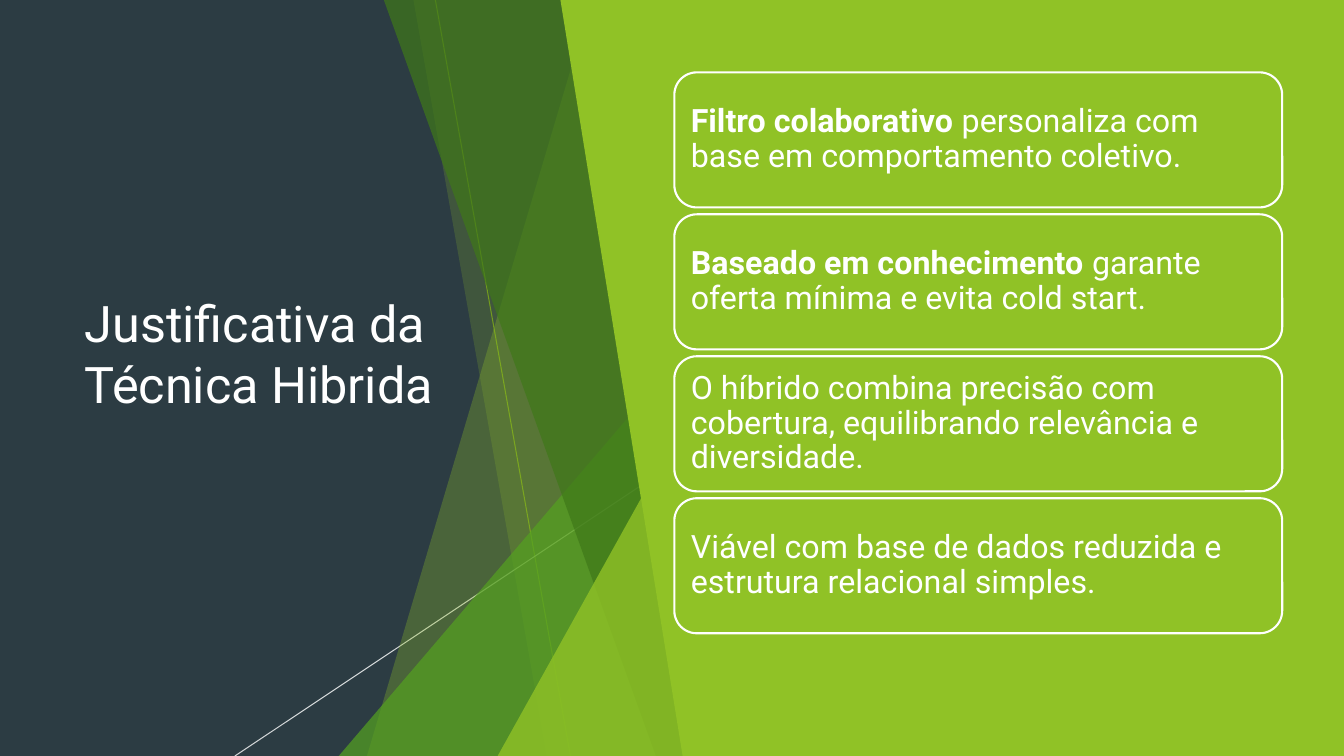
from lxml import etree
from pptx import Presentation
from pptx.dml.color import RGBColor
from pptx.enum.shapes import MSO_CONNECTOR, MSO_SHAPE
from pptx.enum.text import MSO_ANCHOR, PP_ALIGN
from pptx.oxml.ns import qn
from pptx.util import Pt

STRAIGHT = MSO_CONNECTOR.STRAIGHT
TRIANGLE = MSO_SHAPE.ISOSCELES_TRIANGLE
ROUNDED = MSO_SHAPE.ROUNDED_RECTANGLE
MIDDLE = MSO_ANCHOR.MIDDLE
LEFT = PP_ALIGN.LEFT

FONT = "Roboto"
WHITE = "FFFFFF"
LIME = "90C226"
TOP, BOTTOM, FACET_RIGHT = -0.72, 540, 498.6

FACETS_BEHIND = [
    ([(422.6, TOP), (FACET_RIGHT, TOP), (FACET_RIGHT, BOTTOM), (262.1, BOTTOM)], LIME, 30),
    ([(295.2, TOP), (FACET_RIGHT, TOP), (FACET_RIGHT, BOTTOM), (390.6, BOTTOM)], LIME, 20),
]
DARK_FACET = [(273.9, TOP), (FACET_RIGHT, TOP), (FACET_RIGHT, BOTTOM), (468.5, BOTTOM)]
PANEL = [(400.2, TOP), (FACET_RIGHT, TOP), (FACET_RIGHT, 0), (960, 0), (960, BOTTOM), (487.6, BOTTOM)]

REASONS = [
    ("Filtro colaborativo ", "personaliza com base em comportamento coletivo."),
    ("Baseado em conhecimento ", "garante oferta mínima e evita cold start."),
    ("", "O híbrido combina precisão com cobertura, equilibrando relevância e diversidade."),
    ("", "Viável com base de dados reduzida e estrutura relacional simples."),
]


def paint(color_format, color, opacity=100):
    """Set a solid colour, given as hex, with its opacity in percent."""
    color_format.rgb = RGBColor.from_string(color)
    if opacity < 100:
        for element in color_format._xFill.iter(qn("a:srgbClr")):
            etree.SubElement(element, qn("a:alpha")).set("val", str(opacity * 1000))


def fill_shape(shape, color, opacity=100):
    """Give a shape a plain fill without shadow or outline."""
    shape.shadow.inherit = False
    shape.fill.solid()
    alpha_parent = shape.fill.fore_color
    alpha_parent.rgb = RGBColor.from_string(color)
    if opacity < 100:
        set_opacity(shape, opacity)
    shape.line.fill.background()


def set_opacity(shape, opacity):
    """Make the colour of a shape or connector partly transparent."""
    for element in shape._element.spPr.iter(qn("a:srgbClr")):
        etree.SubElement(element, qn("a:alpha")).set("val", str(opacity * 1000))


def add_polygon(page, points, color, opacity=100):
    """Draw a closed polygon through points."""
    vertices = [(Pt(x), Pt(y)) for x, y in points]
    builder = page.shapes.build_freeform(*vertices[0])
    builder.add_line_segments(vertices[1:], close=True)
    fill_shape(builder.convert_to_shape(), color, opacity)


def add_triangle(page, left, top, color, opacity):
    """Draw a right triangle that stands on the bottom edge."""
    triangle = page.shapes.add_shape(
        TRIANGLE, Pt(left), Pt(top), Pt(FACET_RIGHT - left), Pt(BOTTOM - top))
    triangle.adjustments[0] = 1
    fill_shape(triangle, color, opacity)


def add_line(page, start, end, color, opacity=100):
    """Draw a thin straight line."""
    line = page.shapes.add_connector(STRAIGHT, *map(Pt, start + end))
    line.line.width = Pt(0.75)
    line.line.color.rgb = RGBColor.from_string(color)
    if opacity < 100:
        set_opacity(line, opacity)
    etree.SubElement(line._element.spPr, qn("a:effectLst"))


def write_text(box, text, bold_start="", size=23, spacing=None):
    """Write one white paragraph, optionally with a bold beginning."""
    frame = box.text_frame
    frame.word_wrap = True
    frame.vertical_anchor = MIDDLE
    para = frame.paragraphs[0]
    para.alignment = LEFT
    para.line_spacing = spacing
    for content, bold in ((bold_start, True), (text, False)):
        if content:
            span = para.add_run()
            span.text = content
            span.font.name = FONT
            span.font.size = Pt(size)
            span.font.bold = bold
            span.font.color.rgb = RGBColor.from_string(WHITE)


def add_card(page, top, bold_start, text):
    """Draw an outlined rounded card with its text."""
    card = page.shapes.add_shape(ROUNDED, Pt(481.7), Pt(top), Pt(434.2), Pt(96.5))
    fill_shape(card, LIME)
    card.line.color.rgb = RGBColor.from_string(WHITE)
    card.line.width = Pt(1.5)
    write_text(card, text, bold_start, spacing=0.9)


def main():
    """Build the slide and save it."""
    deck = Presentation()
    deck.slide_width, deck.slide_height = Pt(960), Pt(540)
    page = deck.slides.add_slide(deck.slide_layouts[6])
    page.background.fill.solid()
    page.background.fill.fore_color.rgb = RGBColor.from_string("2C3C43")

    add_line(page, (311, 0), (407.5, 540), "6C921D")
    add_line(page, (542.9, 290.2), (167.8, 540), WHITE, 80)
    for points, color, opacity in FACETS_BEHIND:
        add_polygon(page, points, color, opacity)
    add_triangle(page, 242, 239.8, "54A021", 72)
    add_polygon(page, DARK_FACET, "3F7819", 70)
    add_triangle(page, 355.5, 283, LIME, 80)

    title = page.shapes.add_textbox(Pt(53.3), Pt(48.2), Pt(302.4), Pt(407.5))
    write_text(title, "Justificativa da Técnica Hibrida", size=36)

    add_polygon(page, PANEL, LIME)
    for index, (bold_start, text) in enumerate(REASONS):
        add_card(page, 51.7 + index * 101.4, bold_start, text)
    deck.save("out.pptx")


if __name__ == "__main__":
    main()
